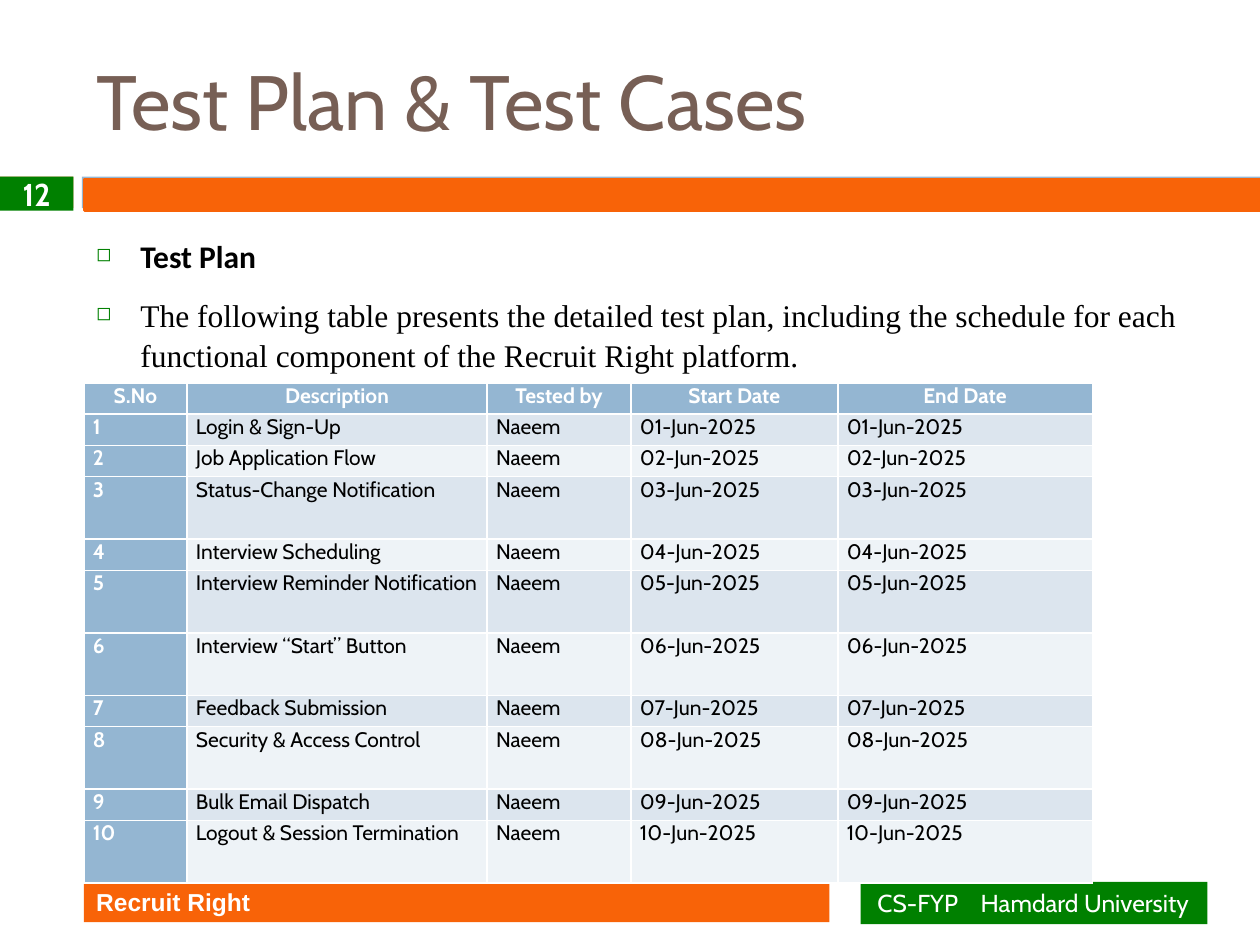
from lxml import etree
from pptx import Presentation
from pptx.dml.color import RGBColor
from pptx.enum.shapes import MSO_SHAPE
from pptx.enum.text import MSO_ANCHOR, PP_ALIGN
from pptx.oxml.ns import qn
from pptx.util import Cm, Pt

RECT = MSO_SHAPE.RECTANGLE
MIDDLE = MSO_ANCHOR.MIDDLE
LEFT, CENTER = PP_ALIGN.LEFT, PP_ALIGN.CENTER

COLORS = {
    "white": "FFFFFF", "black": "000000", "brown": "775F55",
    "rust": "DD8047", "blue": "94B6D2", "orange": "F86308",
    "green": "008000", "band_dark": "DCE5EE", "band_light": "EEF3F7",
}
HEADERS = ["S.No", "Description", "Tested by", "Start Date", "End Date"]
COMPONENTS = [
    "Login & Sign-Up", "Job Application Flow", "Status-Change Notification",
    "Interview Scheduling", "Interview Reminder Notification",
    "Interview “Start” Button", "Feedback Submission",
    "Security & Access Control", "Bulk Email Dispatch",
    "Logout & Session Termination",
]
TALL_ROWS = {3, 5, 6, 8, 10}
COLUMN_WIDTHS = [2.08, 6.05, 2.9, 4.17, 5.13]
ROW_HEIGHT = 0.63


def rgb(name):
    """Return the named palette colour."""
    return RGBColor.from_string(COLORS[name])


def write(p, text, size=18, font="Cabin", color="white", bold=False, align=LEFT):
    """Write one formatted run in a paragraph."""
    p.alignment = align
    r = p.add_run()
    r.text = text
    r.font.size, r.font.name, r.font.bold = Pt(size), font, bold
    r.font.color.rgb = rgb(color)


def prepare_frame(sp, margin=0.25, anchor=MIDDLE):
    """Set wrapping, insets and anchor, and return the text frame."""
    tf = sp.text_frame
    tf.word_wrap = True
    tf.margin_left = tf.margin_right = Cm(margin)
    tf.vertical_anchor = anchor
    return tf


def add_bar(slide, left, top, width, height, color, outline=None):
    """Add a flat rectangle."""
    sp = slide.shapes.add_shape(RECT, Cm(left), Cm(top), Cm(width), Cm(height))
    sp.shadow.inherit = False
    sp.fill.solid()
    sp.fill.fore_color.rgb = rgb(color)
    if outline:
        sp.line.color.rgb = rgb(outline)
        sp.line.width = Pt(1.5)
    else:
        sp.line.fill.background()
    return sp


def add_title(slide, left, top, width, height):
    """Add the slide title."""
    sp = slide.shapes.add_textbox(Cm(left), Cm(top), Cm(width), Cm(height))
    tf = prepare_frame(sp)
    write(tf.paragraphs[0], "Test Plan & Test Cases", size=44, color="brown")


def add_divider(slide, left, top, width, height):
    """Add the band under the title with the slide number."""
    number_width, band_left = 1.48, 1.65
    add_bar(slide, left, top, number_width, height, "rust")
    add_bar(slide, left + band_left, top, width - band_left, height, "blue")
    add_bar(slide, left + band_left + 0.05, top + 0.05,
            width - band_left - 0.05, height, "orange", outline="orange")
    sp = add_bar(slide, left, top, number_width, height + 0.05, "green")
    tf = prepare_frame(sp, margin=0)
    tf.margin_top = tf.margin_bottom = 0
    write(tf.paragraphs[0], "12", bold=True, align=CENTER)


def add_footer(slide, left, top, width, height):
    """Add the project bar and the university bar."""
    project_width, university_width = 15.03, 6.99
    sp = add_bar(slide, left + width - university_width, top,
                 university_width, height + 0.04, "green")
    p = prepare_frame(sp, margin=0.34).paragraphs[0]
    tabs = etree.SubElement(p._p.get_or_add_pPr(), qn("a:tabLst"))
    etree.SubElement(tabs, qn("a:tab"), pos=str(Cm(2.08)), algn="l")
    write(p, "CS-FYP\tHamdard University", size=14)
    sp = add_bar(slide, left, top, project_width, height, "orange")
    write(prepare_frame(sp).paragraphs[0], "Recruit Right",
          size=14, font="Arial", bold=True)


def add_bullet(p):
    """Give a paragraph a hanging green square bullet."""
    pPr = p._p.get_or_add_pPr()
    pPr.set("marL", str(Cm(0.89)))
    pPr.set("indent", str(-Cm(0.89)))
    color = etree.SubElement(pPr, qn("a:buClr"))
    etree.SubElement(color, qn("a:srgbClr"), val=COLORS["green"])
    etree.SubElement(pPr, qn("a:buSzPct"), val="60000")
    etree.SubElement(pPr, qn("a:buChar"), char="◻")


def add_body(slide, left, top, width, height):
    """Add the heading and introduction of the test plan."""
    sp = slide.shapes.add_textbox(Cm(left), Cm(top), Cm(width), Cm(height))
    tf = prepare_frame(sp, anchor=MSO_ANCHOR.TOP)
    p = tf.paragraphs[0]
    add_bullet(p)
    p.space_after = Pt(4)
    write(p, "Test Plan", font="Calibri", color="black", bold=True)
    p = tf.add_paragraph()
    add_bullet(p)
    p.space_before, p.line_spacing = Pt(7), 1.05
    write(p, "The following table presents the detailed test plan, including "
             "the schedule for each functional component of the Recruit Right "
             "platform.", font="Times New Roman", color="black")


def add_schedule(slide, left, top, width, height):
    """Add the table of test dates."""
    rows = [HEADERS]
    for i, component in enumerate(COMPONENTS, 1):
        date = f"{i:02d}-Jun-2025"
        rows.append([str(i), component, "Naeem", date, date])
    table = slide.shapes.add_table(len(rows), len(HEADERS), Cm(left), Cm(top),
                                   Cm(width), Cm(height)).table
    table.first_col = True
    for column, column_width in zip(table.columns, COLUMN_WIDTHS):
        column.width = Cm(column_width)
    for i, values in enumerate(rows):
        table.rows[i].height = Cm(ROW_HEIGHT * (2 if i in TALL_ROWS else 1))
        band = "band_dark" if i % 2 else "band_light"
        for j, value in enumerate(values):
            heading = i == 0 or j == 0
            cell = table.cell(i, j)
            cell.margin_left = cell.margin_right = Cm(0.18)
            cell.margin_top = cell.margin_bottom = 0
            cell.fill.solid()
            cell.fill.fore_color.rgb = rgb("blue" if heading else band)
            write(cell.text_frame.paragraphs[0], value, size=12, bold=heading,
                  color="white" if heading else "black",
                  align=CENTER if i == 0 else LEFT)


def main():
    """Build and save the slide."""
    prs = Presentation()
    prs.slide_width, prs.slide_height = Cm(25.4), Cm(19.05)
    slide = prs.slides.add_slide(prs.slide_layouts[6])
    add_divider(slide, 0, 3.56, 25.4, 0.64)
    add_title(slide, 1.69, 0.64, 21.17, 2.75)
    add_footer(slide, 1.69, 17.78, 22.65, 0.81)
    add_body(slide, 1.69, 4.66, 22.65, 12.5)
    add_schedule(slide, 1.69, 7.72, 20.33, 10.08)
    prs.save("out.pptx")


if __name__ == "__main__":
    main()
